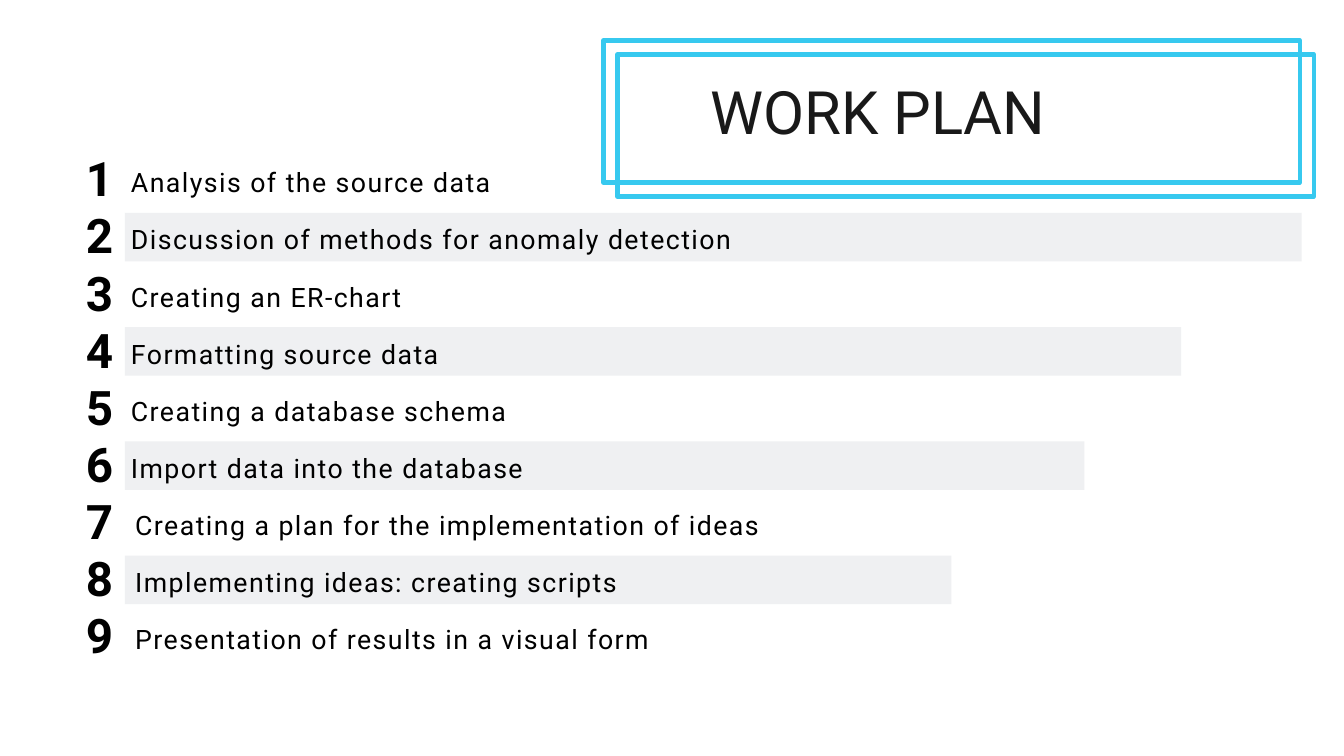
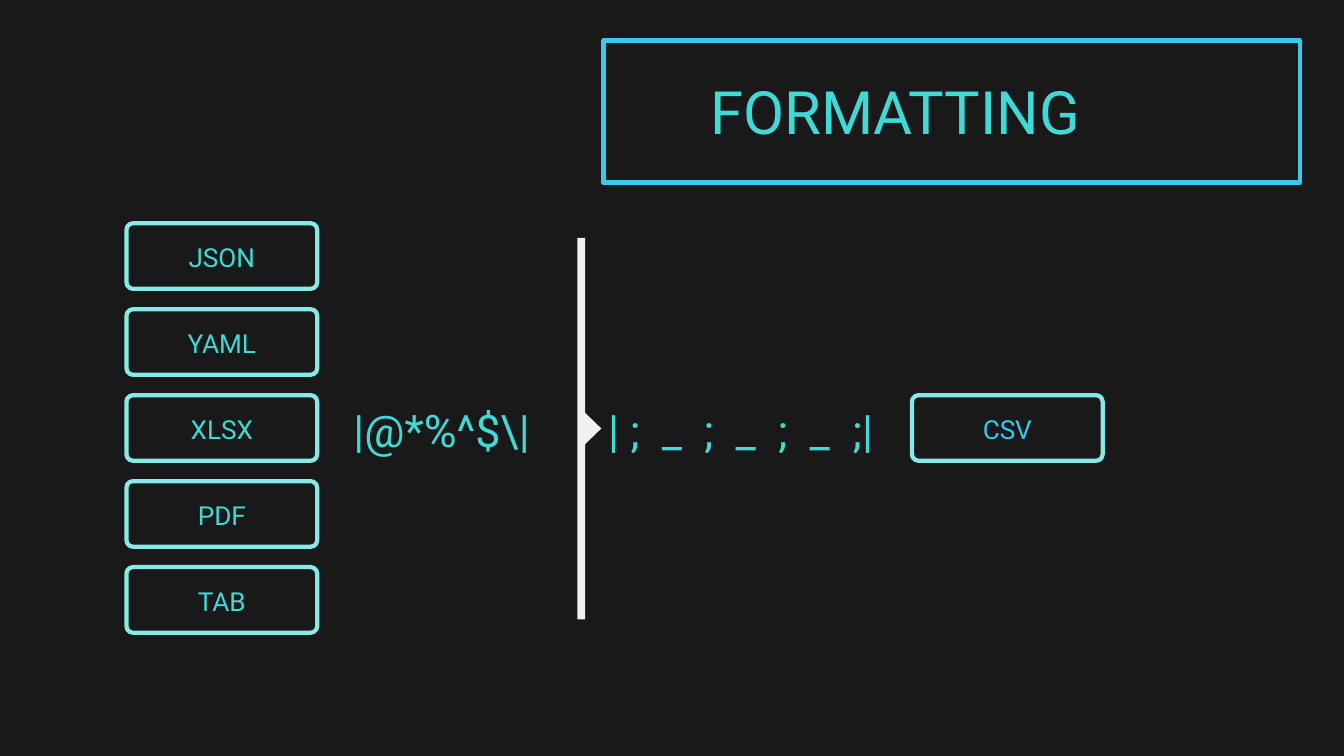
from dataclasses import dataclass

from lxml.etree import SubElement
from pptx import Presentation
from pptx.dml.color import RGBColor
from pptx.enum.shapes import MSO_SHAPE as Preset
from pptx.enum.text import MSO_ANCHOR as Anchor, MSO_AUTO_SIZE as AutoSize, PP_ALIGN as Align
from pptx.oxml.ns import qn
from pptx.util import Cm, Pt

COLORS = {
    "white": "FFFFFF",
    "dark": "191919",
    "black": "000000",
    "frame": "37C9EF",
    "teal": "3EDAD8",
    "tile": "86EAE9",
    "pale": "EFF0F2",
}
FONT = "Roboto"
STROKE = 0.16
FRAME_LEFT, FRAME_TOP = 22.73, 1.45
ROW_TOP, ROW_STEP = 5.84, 2.16
TILE_LEFT, TILE_TOP, TILE_STEP = 4.7, 8.36, 3.25


@dataclass(frozen=True)
class Area:
    left: float
    top: float
    width: float
    height: float

    def lengths(self) -> tuple:
        return Cm(self.left), Cm(self.top), Cm(self.width), Cm(self.height)

    def inset(self, margin: float) -> "Area":
        return Area(self.left + margin, self.top + margin,
                    self.width - 2 * margin, self.height - 2 * margin)


@dataclass(frozen=True)
class TextStyle:
    size: float
    leading: float
    color: str
    bold: bool = False
    tracking: float = 0
    align: Align = Align.LEFT


@dataclass(frozen=True)
class Step:
    text: str
    band_width: float = 0
    text_left: float = 4.95


NUMBER = TextStyle(51, 55.6, "black", bold=True, tracking=2.8)
STEP_TEXT = TextStyle(28.6, 40, "black", tracking=1.6)
SYMBOLS = TextStyle(48, 62.4, "teal")

STEPS = [
    Step("Analysis of the source data"),
    Step("Discussion of methods for anomaly detection", 44.48),
    Step("Creating an ER-chart"),
    Step("Formatting source data", 39.93),
    Step("Creating a database schema"),
    Step("Import data into the database", 36.27),
    Step("Creating a plan for the implementation of ideas", text_left=5.11),
    Step("Implementing ideas: creating scripts", 31.24, 5.11),
    Step("Presentation of results in a visual form", text_left=5.11),
]
FORMATS = ["JSON", "YAML", "XLSX", "PDF", "TAB"]
RESULT_ROW = FORMATS.index("XLSX")


def rgb(name: str) -> RGBColor:
    return RGBColor.from_string(COLORS[name])


def set_tracking(span, points: float) -> None:
    span.font._element.set("spc", str(round(points * 100))) if hasattr(span.font, "_element") \
        else span._r.get_or_add_rPr().set("spc", str(round(points * 100)))


def write(box, text: str, style: TextStyle, anchor: Anchor = Anchor.TOP):
    frame = box.text_frame
    frame.margin_left = frame.margin_right = frame.margin_top = frame.margin_bottom = 0
    frame.word_wrap = True
    frame.auto_size = AutoSize.NONE
    frame.vertical_anchor = anchor
    para = frame.paragraphs[0]
    para.alignment = style.align
    para.line_spacing = Pt(style.leading)
    para.font.name = FONT
    para.font.size = Pt(style.size)
    para.font.bold = style.bold
    para.font.color.rgb = rgb(style.color)
    span = para.add_run()
    span.text = text
    if style.tracking:
        set_tracking(span, style.tracking)
    return para


def add_text(page, area: Area, text: str, style: TextStyle):
    return write(page.shapes.add_textbox(*area.lengths()), text, style)


def fill_plain(shape, color: str) -> None:
    shape.shadow.inherit = False
    shape.fill.solid()
    shape.fill.fore_color.rgb = rgb(color)
    shape.line.fill.background()


def add_outline(page, preset: Preset, area: Area, color: str):
    shape = page.shapes.add_shape(preset, *area.inset(STROKE / 2).lengths())
    shape.shadow.inherit = False
    shape.fill.background()
    shape.line.color.rgb = rgb(color)
    shape.line.width = Cm(STROKE)
    return shape


def add_title_frame(page, shift: float = 0) -> None:
    area = Area(FRAME_LEFT + shift, FRAME_TOP + shift, 26.48, 5.53)
    add_outline(page, Preset.RECTANGLE, area, "frame")


def add_page(deck, title: str, background: str, title_color: str):
    page = deck.slides.add_slide(deck.slide_layouts[5])
    page.background.fill.solid()
    page.background.fill.fore_color.rgb = rgb(background)
    box = page.shapes.title
    box.left, box.top, box.width, box.height = Area(26.85, 2.84, 21.08, 2.72).lengths()
    write(box, title, TextStyle(64, 76.8, title_color))
    add_title_frame(page)
    return page


def add_step(page, index: int, step: Step) -> None:
    top = ROW_TOP + index * ROW_STEP
    if step.band_width:
        band = page.shapes.add_shape(
            Preset.RECTANGLE, *Area(4.72, top + 0.05, step.band_width, 1.83).lengths())
        fill_plain(band, "pale")
    add_text(page, Area(3.25, top, 1.7, 2.06), str(index + 1), NUMBER)
    add_text(page, Area(step.text_left, top + 0.24, 36.04, 1.35), step.text, STEP_TEXT)


def add_tile(page, left: float, row: int, label: str, color: str) -> None:
    area = Area(left, TILE_TOP + row * TILE_STEP, 7.37, 2.64)
    tile = add_outline(page, Preset.ROUNDED_RECTANGLE, area, "tile")
    tile.adjustments[0] = 0.1
    write(tile, label, TextStyle(28, 36.4, color, align=Align.CENTER), Anchor.MIDDLE)


def add_divider(page) -> None:
    left, right, tip = 21.82, 22.12, 22.73
    top, middle, bottom, half = 8.99, 16.2, 23.42, 0.59
    corners = [(right, top), (right, middle - half), (tip, middle),
               (right, middle + half), (right, bottom), (left, bottom)]
    builder = page.shapes.build_freeform(Cm(left), Cm(top))
    builder.add_line_segments([(Cm(x), Cm(y)) for x, y in corners])
    fill_plain(builder.convert_to_shape(), "pale")


def add_symbols(page) -> None:
    para = add_text(page, Area(13.36, 15.06, 19.9, 2.16), "|@*%^$\\|\t| ", SYMBOLS)
    tabs = SubElement(para._p.get_or_add_pPr(), qn("a:tabLst"))
    SubElement(tabs, qn("a:tab"), pos=str(Cm(9.63)), algn="l")
    properties = para._p.pPr
    defaults = properties.find(qn("a:defRPr"))
    defaults.addprevious(tabs)
    spread = para.add_run()
    spread.text = "; _ ; _ ; _ "
    set_tracking(spread, 5.95)
    para.add_run().text = ";|"


def build_work_plan(deck) -> None:
    page = add_page(deck, "WORK PLAN", "white", "dark")
    for index, step in enumerate(STEPS):
        add_step(page, index, step)
    add_title_frame(page, 0.53)


def build_formatting(deck) -> None:
    page = add_page(deck, "FORMATTING", "dark", "teal")
    for row, label in enumerate(FORMATS):
        add_tile(page, TILE_LEFT, row, label, "teal")
    add_tile(page, 34.39, RESULT_ROW, "CSV", "frame")
    add_divider(page)
    add_symbols(page)


def main() -> None:
    deck = Presentation()
    deck.slide_width, deck.slide_height = Cm(50.8), Cm(28.58)
    build_work_plan(deck)
    build_formatting(deck)
    deck.save("out.pptx")


if __name__ == "__main__":
    main()
